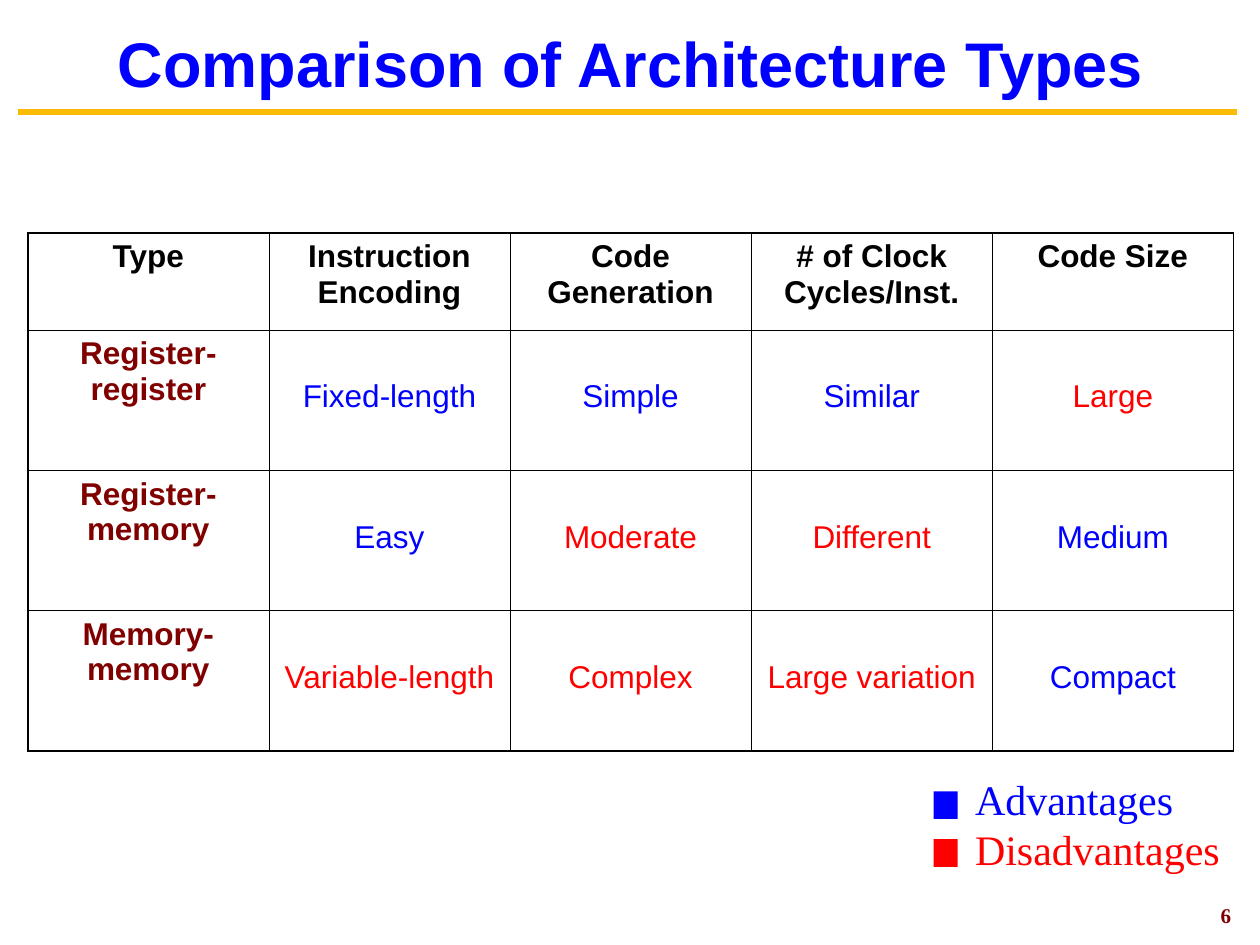
from lxml import etree
from pptx import Presentation
from pptx.dml.color import RGBColor
from pptx.enum.shapes import MSO_CONNECTOR, MSO_SHAPE
from pptx.enum.text import MSO_ANCHOR, PP_ALIGN
from pptx.oxml.ns import qn
from pptx.util import Inches, Pt

COLORS = {
    "blue": "0000FF",
    "red": "FF0000",
    "maroon": "800000",
    "black": "000000",
    "gold": "FBBA03",
}
SANS, SERIF = "Arial", "Times New Roman"

HEADERS = ["Type", "Instruction Encoding", "Code Generation",
           "# of Clock Cycles/Inst.", "Code Size"]
# Each value carries the colour of its verdict: blue is good, red is bad
ARCHITECTURES = [
    ("Register-register", [("Fixed-length", "blue"), ("Simple", "blue"),
                           ("Similar", "blue"), ("Large", "red")]),
    ("Register-memory", [("Easy", "blue"), ("Moderate", "red"),
                         ("Different", "red"), ("Medium", "blue")]),
    ("Memory-memory", [("Variable-length", "red"), ("Complex", "red"),
                       ("Large variation", "red"), ("Compact", "blue")]),
]
LEGEND = [("Advantages", "blue"), ("Disadvantages", "red")]


def rgb(name):
    return RGBColor.from_string(COLORS[name])


def add_run(p, text, size, font, color, bold=False):
    r = p.add_run()
    r.text = text
    r.font.size = Pt(size)
    r.font.name = font
    r.font.bold = bold
    r.font.color.rgb = rgb(color)


def add_box(slide, x, y, w, h, anchor=MSO_ANCHOR.MIDDLE, wrap=True):
    tb = slide.shapes.add_textbox(Inches(x), Inches(y), Inches(w), Inches(h))
    tf = tb.text_frame
    tf.word_wrap = wrap
    tf.vertical_anchor = anchor
    return tf


def add_title(slide, x, y, w, h):
    p = add_box(slide, x, y, w, h).paragraphs[0]
    p.alignment = PP_ALIGN.CENTER
    add_run(p, "Comparison of Architecture Types", 36, SANS, "blue", True)


def add_rule(slide, x, y, w):
    line = slide.shapes.add_connector(
        MSO_CONNECTOR.STRAIGHT, Inches(x), Inches(y), Inches(x + w), Inches(y))
    line.line.color.rgb = rgb("gold")
    line.line.width = Pt(3.75)
    etree.SubElement(line._element.spPr, qn("a:effectLst"))


def set_borders(cell, widths):
    """Draw the left, right, top and bottom borders, in that order."""
    tc_pr = cell._tc.get_or_add_tcPr()
    for i, (side, width) in enumerate(zip("LRTB", widths)):
        ln = etree.Element(qn(f"a:ln{side}"), w=str(Pt(width)))
        fill = etree.SubElement(ln, qn("a:solidFill"))
        etree.SubElement(fill, qn("a:srgbClr"), val=COLORS["black"])
        tc_pr.insert(i, ln)


def add_comparison(slide, x, y, w, h):
    rows, cols = len(ARCHITECTURES) + 1, len(HEADERS)
    table = slide.shapes.add_table(
        rows, cols, Inches(x), Inches(y), Inches(w), Inches(h)).table
    table.first_row = table.horz_banding = False

    # Equal columns; a short header row over equal body rows
    header_h = 0.77
    for col in table.columns:
        col.width = Inches(w / cols)
    for i, row in enumerate(table.rows):
        row.height = Inches(header_h if i == 0 else (h - header_h) / (rows - 1))

    grid = [[(text, "black") for text in HEADERS]]
    grid += [[(name, "maroon")] + values for name, values in ARCHITECTURES]
    outer, inner = 1.08, 0.45
    for i, row in enumerate(grid):
        for j, (text, color) in enumerate(row):
            cell = table.cell(i, j)
            is_label = i == 0 or j == 0
            cell.fill.background()
            cell.margin_top = Inches(0.05 if is_label else 0.39)
            p = cell.text_frame.paragraphs[0]
            p.alignment = PP_ALIGN.CENTER
            p.space_before = Pt(4.5)
            add_run(p, text, 18, SANS, color, is_label)
            edges = (j == 0, j == cols - 1, i == 0, i == rows - 1)
            set_borders(cell, [outer if edge else inner for edge in edges])


def add_legend(slide, x, y, w, h):
    # Labels, one paragraph each, to the right of the colour keys
    key_w, key_h, label_x = 0.19, 0.22, 0.23
    tf = add_box(slide, x + label_x, y, w - label_x, h, MSO_ANCHOR.TOP)
    tf.margin_right = 0  # leaves room for the longest label on one line
    for i, (text, color) in enumerate(LEGEND):
        p = tf.paragraphs[0] if i == 0 else tf.add_paragraph()
        add_run(p, text, 24, SERIF, color)
        key = slide.shapes.add_shape(
            MSO_SHAPE.RECTANGLE, Inches(x), Inches(y + 0.19 + 0.38 * i),
            Inches(key_w), Inches(key_h))
        key.shadow.inherit = False
        key.fill.solid()
        key.fill.fore_color.rgb = rgb(color)
        key.line.fill.background()


def add_page_number(slide, x, y, w, h):
    p = add_box(slide, x, y, w, h, wrap=False).paragraphs[0]
    p.alignment = PP_ALIGN.CENTER
    add_run(p, "6", 12, SERIF, "maroon", True)


def main():
    prs = Presentation()
    prs.slide_width, prs.slide_height = Inches(10), Inches(7.5)
    slide = prs.slides.add_slide(prs.slide_layouts[6])
    add_rule(slide, 0.14, 0.89, 9.68)
    add_page_number(slide, 9.59, 7.15, 0.26, 0.23)
    add_title(slide, 0.19, 0.16, 9.63, 0.67)
    add_comparison(slide, 0.22, 1.85, 9.57, 4.11)
    add_legend(slide, 7.41, 6.09, 2.37, 0.9)
    prs.save("out.pptx")


if __name__ == "__main__":
    main()
